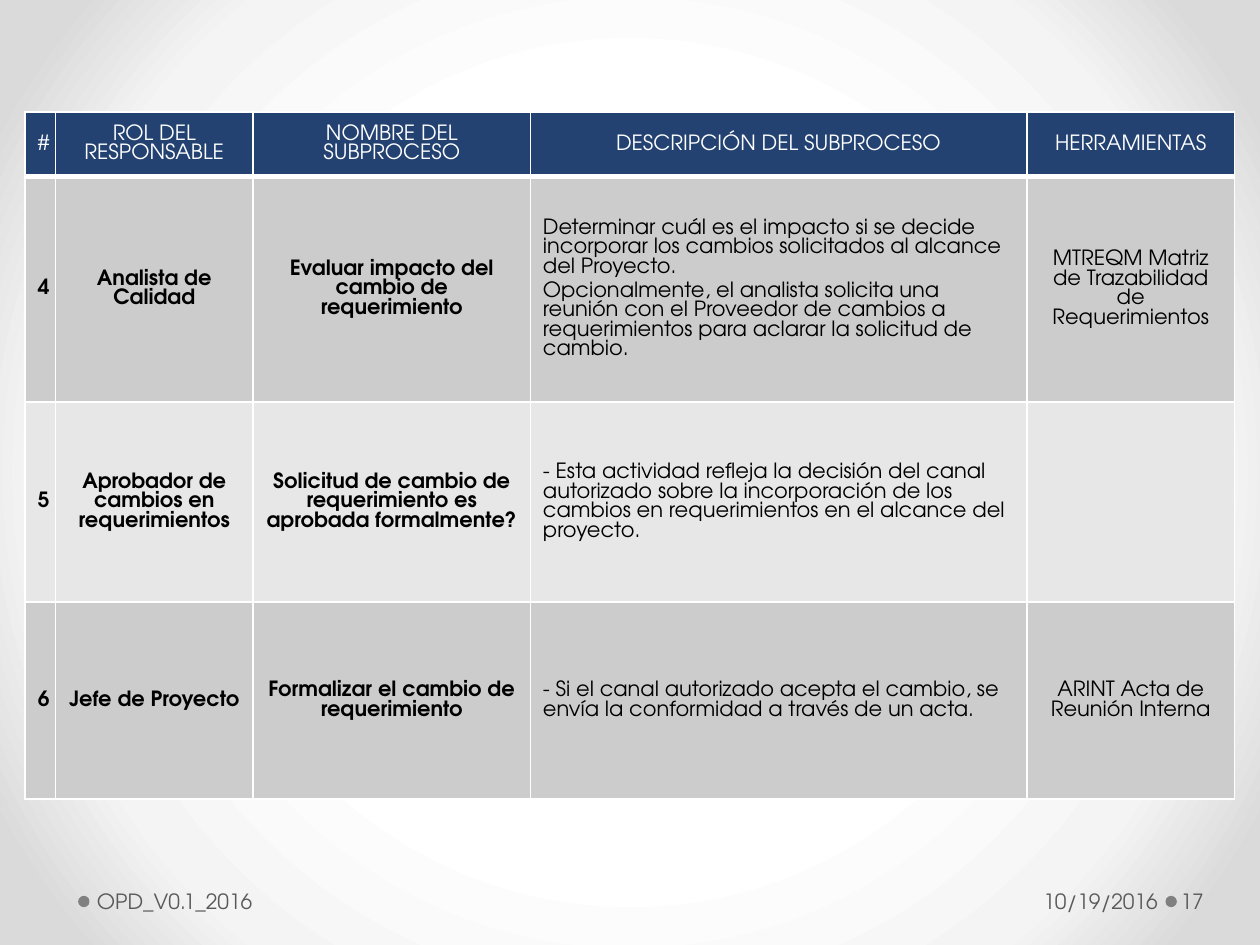
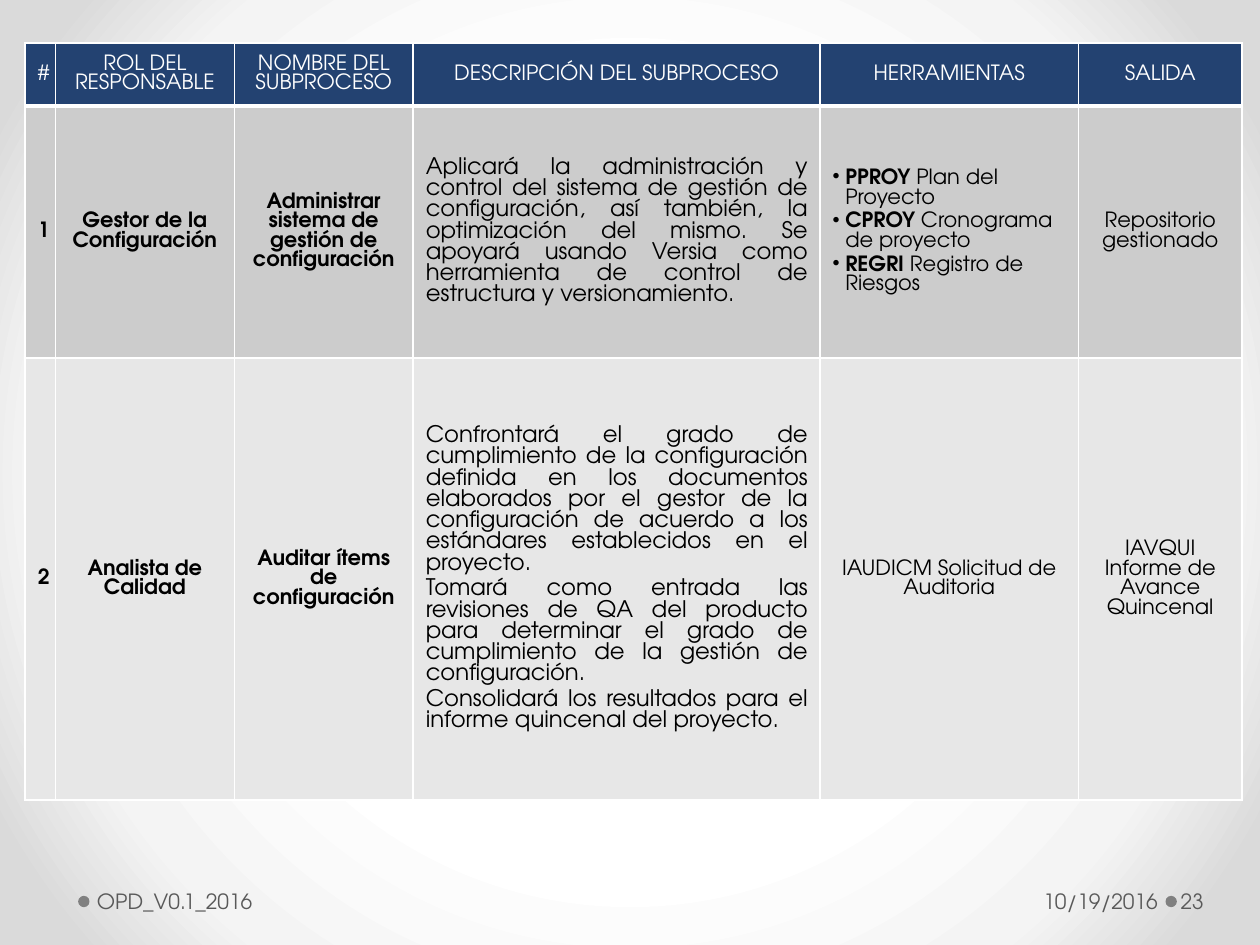
from pptx import Presentation
from pptx.dml.color import RGBColor
from pptx.enum.shapes import MSO_SHAPE
from pptx.enum.text import MSO_ANCHOR, PP_ALIGN
from pptx.oxml import parse_xml
from pptx.oxml.ns import nsdecls, qn
from pptx.util import Inches, Pt

FONT = "TeX Gyre Adventor"
NAVY, WHITE, BLACK = "234271", "FFFFFF", "000000"
BANDS = ["CCCCCC", "E7E7E7"]
FOOTER_GREY, DOT_GREY = "595959", "808080"
GLOW = [(50, "FFFFFF"), (76, "F4F4F4"), (92, "DADADA")]
LEFT, CENTER, RIGHT, JUSTIFY = PP_ALIGN.LEFT, PP_ALIGN.CENTER, PP_ALIGN.RIGHT, PP_ALIGN.JUSTIFY


def write(frame, text, size=12, color=BLACK, bold=False, align=LEFT, bullet=False):
    """Fill a frame, one paragraph per line; the part before a "|" is bold."""
    for index, line in enumerate(text.split("\n")):
        paragraph = frame.paragraphs[0] if index == 0 else frame.add_paragraph()
        if bullet:
            properties = paragraph._p.get_or_add_pPr()
            properties.set("marL", str(Inches(0.1)))
            properties.set("indent", str(-Inches(0.1)))
            properties.append(parse_xml(f'<a:buChar {nsdecls("a")} char="•"/>'))
        paragraph.alignment = align
        if index:
            paragraph.space_before = Pt(size * 0.2)
        lead, bar, rest = line.rpartition("|")
        for part, is_bold in ((lead, True), (rest, bold)):
            if part:
                run = paragraph.add_run()
                run.text = part
                run.font.name = FONT
                run.font.size = Pt(size)
                run.font.bold = is_bold
                run.font.color.rgb = RGBColor.from_string(color)


def style_cell(cell, fill, bottom=1):
    """Give a cell white borders, a fill and middle anchoring."""
    properties = cell._tc.get_or_add_tcPr()
    for side, width in (("L", 1), ("R", 1), ("T", 1), ("B", bottom)):
        properties.append(parse_xml(
            f'<a:ln{side} {nsdecls("a")} w="{Pt(width)}"><a:solidFill>'
            f'<a:srgbClr val="{WHITE}"/></a:solidFill></a:ln{side}>'))
    cell.fill.solid()
    cell.fill.fore_color.rgb = RGBColor.from_string(fill)
    cell.vertical_anchor = MSO_ANCHOR.MIDDLE


HEADERS = ["#", "ROL DEL RESPONSABLE", "NOMBRE DEL SUBPROCESO",
           "DESCRIPCIÓN DEL SUBPROCESO", "HERRAMIENTAS", "SALIDA"]

pages = [
    {
        "number": "17",
        "top": 0.89,
        "columns": [0.24, 1.57, 2.2, 3.94, 1.65],
        "heights": [0.51, 1.79, 1.59, 1.56],
        "description": {"align": LEFT},
        "steps": [
            ["4", "Analista de Calidad", "Evaluar impacto del cambio de requerimiento",
             "Determinar cuál es el impacto si se decide incorporar los cambios "
             "solicitados al alcance del Proyecto.\n"
             "Opcionalmente, el analista solicita una reunión con el Proveedor de "
             "cambios a requerimientos para aclarar la solicitud de cambio.",
             "MTREQM Matriz de Trazabilidad de Requerimientos"],
            ["5", "Aprobador de cambios en requerimientos",
             "Solicitud de cambio de requerimiento es aprobada formalmente?",
             "- Esta actividad refleja la decisión del canal autorizado sobre la "
             "incorporación de los cambios en requerimientos en el alcance del proyecto.",
             ""],
            ["6", "Jefe de Proyecto", "Formalizar el cambio de requerimiento",
             "- Si el canal autorizado acepta el cambio, se envía la conformidad a "
             "través de un acta.",
             "ARINT Acta de Reunión Interna"],
        ],
    },
    {
        "number": "23",
        "top": 0.34,
        "columns": [0.24, 1.42, 1.42, 3.23, 2.05, 1.3],
        "heights": [0.5, 2, 3.51],
        "description": {"align": JUSTIFY, "size": 13},
        "steps": [
            ["1", "Gestor de la Configuración",
             "Administrar sistema de gestión de configuración",
             "Aplicará la administración y control del sistema de gestión de "
             "configuración, así también, la optimización del mismo. Se apoyará usando "
             "Versia como herramienta de control de estructura y versionamiento.",
             "PPROY| Plan del Proyecto\nCPROY| Cronograma de proyecto\n"
             "REGRI| Registro de Riesgos",
             "Repositorio gestionado"],
            ["2", "Analista de Calidad", "Auditar ítems de configuración",
             "Confrontará el grado de cumplimiento de la configuración definida en los "
             "documentos elaborados por el gestor de la configuración de acuerdo a los "
             "estándares establecidos en el proyecto.\n"
             "Tomará como entrada las revisiones de QA del producto para determinar el "
             "grado de cumplimiento de la gestión de configuración.\n"
             "Consolidará los resultados para el informe quincenal del proyecto.",
             "IAUDICM Solicitud de Auditoria",
             "IAVQUI Informe de Avance Quincenal"],
        ],
    },
]

prs = Presentation()
prs.slide_width, prs.slide_height = Inches(10), Inches(7.5)

# Radial background, shared through the master
master = prs.slide_master
master.background.fill.solid()
background = master.element.find(".//" + qn("p:bgPr"))
stops = "".join(f'<a:gs pos="{position * 1000}"><a:srgbClr val="{color}"/></a:gs>'
                for position, color in GLOW)
background.replace(background[0], parse_xml(
    f'<a:gradFill {nsdecls("a")} rotWithShape="1"><a:gsLst>{stops}</a:gsLst>'
    '<a:path path="circle"><a:fillToRect l="50000" t="50000" r="50000" b="50000"/>'
    '</a:path></a:gradFill>'))

for page in pages:
    slide = prs.slides.add_slide(prs.slide_layouts[6])

    # Footer
    for dot_left in (0.62, 9.25):
        dot = slide.shapes.add_shape(MSO_SHAPE.OVAL, Inches(dot_left), Inches(7.11),
                                     Inches(0.09), Inches(0.09))
        dot.shadow.inherit = False
        dot.fill.solid()
        dot.fill.fore_color.rgb = RGBColor.from_string(DOT_GREY)
        dot.line.fill.background()
    for text, left, width, inset_left, inset_right, align in (
            ("OPD_V0.1_2016", 0.72, 3.96, 0.05, 0.1, LEFT),
            ("10/19/2016", 6.96, 2.28, 0.1, 0.05, RIGHT),
            (page["number"], 9.34, 0.61, 0.03, 0.05, LEFT)):
        footer = slide.shapes.add_textbox(Inches(left), Inches(6.95),
                                          Inches(width), Inches(0.4)).text_frame
        footer.word_wrap = True
        footer.vertical_anchor = MSO_ANCHOR.MIDDLE
        footer.margin_left, footer.margin_right = Inches(inset_left), Inches(inset_right)
        write(footer, text, color=FOOTER_GREY, align=align)

    # Subprocess table
    columns, heights = page["columns"], page["heights"]
    table = slide.shapes.add_table(
        len(heights), len(columns), Inches(0.2), Inches(page["top"]),
        Inches(sum(columns)), Inches(sum(heights))).table
    table.horz_banding = False
    for column, width in zip(table.columns, columns):
        column.width = Inches(width)
    for row, height in zip(table.rows, heights):
        row.height = Inches(height)

    for cell, header in zip(table.rows[0].cells, HEADERS):
        style_cell(cell, NAVY, bottom=3)
        write(cell.text_frame, header, color=WHITE, align=CENTER)
    for row_index, step in enumerate(page["steps"], 1):
        for col_index, text in enumerate(step):
            cell = table.cell(row_index, col_index)
            style_cell(cell, BANDS[(row_index - 1) % 2])
            if HEADERS[col_index] == "DESCRIPCIÓN DEL SUBPROCESO":
                look = page["description"]
            elif "|" in text:
                look = {"bullet": True}
            else:
                look = {"align": CENTER, "bold": col_index < 3}
            write(cell.text_frame, text, **look)

prs.save("out.pptx")
